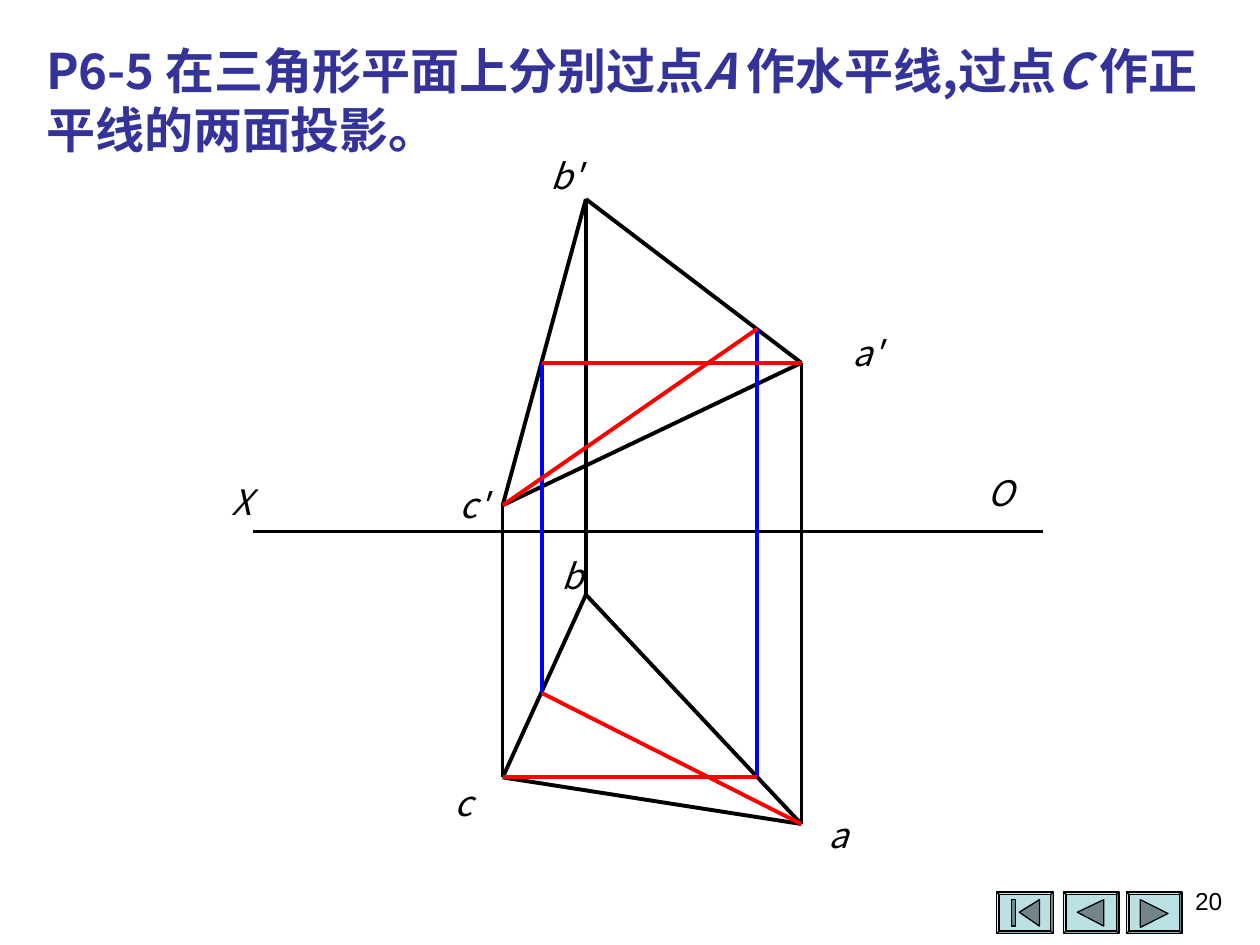
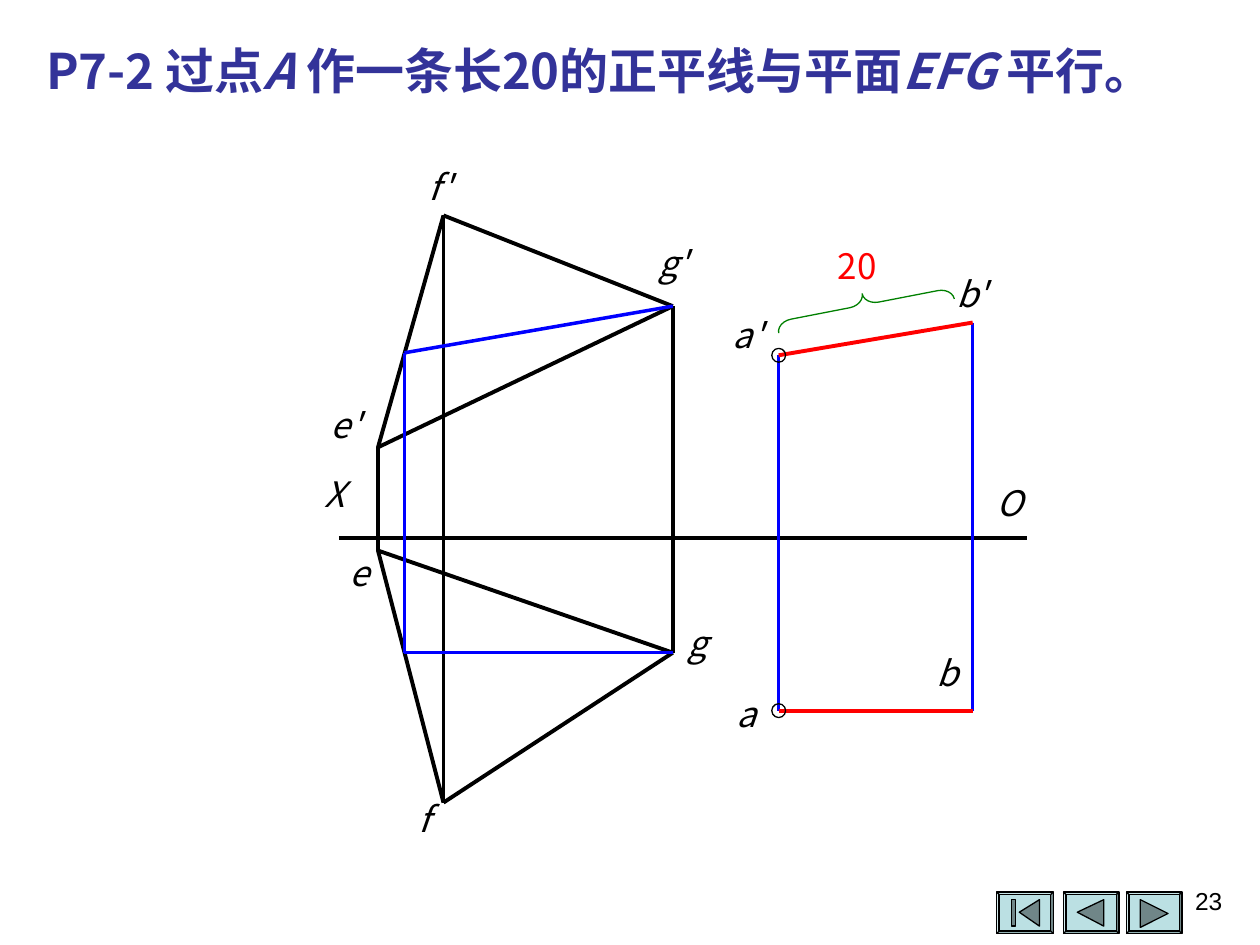
from lxml import etree
from pptx import Presentation
from pptx import util as u
from pptx.dml.color import RGBColor
from pptx.enum import shapes, text
from pptx.oxml.ns import qn

COLORS = {"ink": "000000", "title": "333399", "answer": "FF0000",
          "helper": "0000FF", "brace": "008000", "button": "BBE0E3",
          "symbol": "708688"}
CJK = "Noto Sans CJK SC"
THICK, HAIRLINE = u.Pt(2.25), u.Pt(0)


def color(name):
    return RGBColor.from_string(COLORS[name])


def style_shape(shape, fill, line, width):
    shape.shadow.inherit = False
    if fill:
        shape.fill.solid()
        shape.fill.fore_color.rgb = color(fill)
    else:
        shape.fill.background()
    shape.line.color.rgb = color(line)
    shape.line.width = width


def add_text(page, box, spans, size, ink="ink", font=CJK, bold=False,
             margins=(0, 0), align=text.PP_ALIGN.LEFT, wrap=True):
    """Write one paragraph made of (words, italic) spans."""
    frame = page.shapes.add_textbox(*map(u.Inches, box)).text_frame
    frame.word_wrap = wrap
    frame.margin_left = frame.margin_right = u.Inches(margins[0])
    frame.margin_top = frame.margin_bottom = u.Inches(margins[1])
    para = frame.paragraphs[0]
    para.alignment = align
    para.font.size = u.Pt(size)
    para.font.bold = bold
    para.font.color.rgb = color(ink)
    para.font.name = font
    for words, italic in spans:
        span = para.add_run()
        span.text = words
        span.font.italic = italic
        east_asian = etree.SubElement(span.font._element, qn("a:ea"))
        east_asian.set("typeface", font)


def add_line(page, start, end, ink="ink", width=HAIRLINE):
    ends = [u.Inches(value) for value in (*start, *end)]
    line = page.shapes.add_connector(shapes.MSO_CONNECTOR.STRAIGHT, *ends)
    line.line.color.rgb = color(ink)
    line.line.width = width
    etree.SubElement(line._element.spPr, qn("a:effectLst"))


# Navigation buttons: symbol outlines relative to the button corner
BUTTON_SYMBOLS = [
    (7.91, 0.45, [[(0.18, 0.16), (0.34, 0.06), (0.34, 0.27)],
                  [(0.12, 0.06), (0.15, 0.06), (0.15, 0.27), (0.12, 0.27)]]),
    (8.44, 0.44, [[(0.11, 0.16), (0.32, 0.06), (0.32, 0.27)]]),
    (8.94, 0.44, [[(0.11, 0.06), (0.33, 0.17), (0.11, 0.28)]]),
]


def add_button(page, box, outlines):
    left, top, width, height = box
    bevel = page.shapes.add_shape(shapes.MSO_SHAPE.BEVEL, *map(u.Inches, box))
    bevel.adjustments[0] = 0.06
    style_shape(bevel, "button", "ink", u.Pt(0.75))
    for outline in outlines:
        corners = [(u.Inches(left + x), u.Inches(top + y)) for x, y in outline]
        builder = page.shapes.build_freeform(*corners[0])
        builder.add_line_segments(corners[1:], close=True)
        style_shape(builder.convert_to_shape(), "symbol", "ink", u.Pt(0.75))


def add_frame(deck, title, number):
    """Add a page with its buttons, title and page number."""
    page = deck.slides.add_slide(deck.slide_layouts[6])
    for left, width, outlines in BUTTON_SYMBOLS:
        add_button(page, (left, 7.08, width, 0.33), outlines)
    add_text(page, (0.27, 0.27, 9.53, 1.04), title, 28, "title", bold=True,
             margins=(0.1, 0.05))
    add_text(page, (7.47, 6.98, 2.33, 0.52), [(number, False)], 14,
             font="Arial", margins=(0.1, 0.05), align=text.PP_ALIGN.RIGHT)
    return page


def add_projection(page, origin, length, columns, lines, labels, axis_labels):
    """Draw two views above and below an axis that starts at origin.

    columns: point -> (x, y in upper view, y in lower view)
    lines: (pairs of points, colour, width)
    labels: point -> offset of the label from its point
    """
    left, top = origin
    places = {}
    for name, (x, upper, lower) in columns.items():
        places[name + "'"] = (left + x, top + upper)
        places[name] = (left + x, top + lower)

    add_line(page, origin, (left + length, top))
    for pairs, ink, width in lines:
        for pair in pairs.split(", "):
            start, end = pair.split("-")
            add_line(page, places[start], places[end], ink, width)

    places.update(X=origin, O=(left + length, top))
    for name, (right, down) in {**labels, **axis_labels}.items():
        x, y = places[name]
        is_end = name == "O"
        width = 0.31 if is_end else 0.17 * len(name)
        align = text.PP_ALIGN.LEFT if is_end else text.PP_ALIGN.CENTER
        add_text(page, (x + right, y + down, width, 0.33), [(name, True)], 20,
                 align=align, wrap=is_end)
    return places


def add_length_mark(page, box, words):
    """Put a slanted brace and its length over a segment."""
    left, top = box
    brace = page.shapes.add_shape(
        shapes.MSO_SHAPE.LEFT_BRACE, u.Inches(left + 0.12),
        u.Inches(top - 0.23), u.Inches(0.18), u.Inches(1.42))
    brace.rotation = 79
    brace.adjustments[0] = 0.65
    style_shape(brace, None, "brace", u.Pt(0.75))
    add_text(page, (left, top, 0.55, 0.33), [(words, False)], 20, "answer")


def add_ring(page, center, size=0.11):
    x, y = center
    ring = page.shapes.add_shape(
        shapes.MSO_SHAPE.OVAL, u.Inches(x - size / 2), u.Inches(y - size / 2),
        u.Inches(size), u.Inches(size))
    style_shape(ring, None, "ink", HAIRLINE)


def add_lines_in_triangle(deck):
    title = [("P6-5 在三角形平面上分别过点", False), ("A ", True),
             ("作水平线,过点", False), ("C ", True),
             ("作正平线的两面投影。", False)]
    page = add_frame(deck, title, "20")
    columns = {"a": (4.35, -1.34, 2.32), "b": (2.64, -2.64, 0.5),
               "c": (1.98, -0.21, 1.95), "d": (2.29, -1.34, 1.28),
               "e": (4, -1.61, 1.95)}
    lines = [("c-a, c'-a', c'-b', b'-a', c-b, b-a", "ink", THICK),
             ("b'-b, a'-a, c'-c", "ink", HAIRLINE),
             ("d'-d, e'-e", "helper", HAIRLINE),
             ("a'-d', d-a, c-e, c'-e'", "answer", THICK)]
    labels = {"a'": (0.35, -0.25), "b'": (-0.33, -0.35), "c'": (-0.4, -0.17),
              "a": (0.21, -0.08), "b": (-0.19, -0.32), "c": (-0.4, 0.03)}
    add_projection(page, (2.01, 4.22), 6.27, columns, lines, labels,
                   {"X": (-0.18, -0.41), "O": (-0.44, -0.48)})


def add_parallel_to_plane(deck):
    title = [("P7-2 过点", False), ("A ", True),
             ("作一条长20的正平线与平面", False), ("EFG ", True),
             ("平行。", False)]
    page = add_frame(deck, title, "23")
    columns = {"a": (3.49, -1.45, 1.37), "b": (5.03, -1.71, 1.37),
               "e": (0.31, -0.72, 0.1), "f": (0.83, -2.56, 2.1),
               "g": (2.65, -1.84, 0.91), "h": (0.52, -1.47, 0.91)}
    lines = [("e-g, e'-g', e'-f', f'-g', e-f, f-g", "ink", THICK),
             ("g'-g, f'-f, e'-e", "ink", HAIRLINE),
             ("g-h, h-h', h'-g', b'-b, a'-a", "helper", HAIRLINE),
             ("a-b, a'-b'", "answer", THICK)]
    labels = {"a'": (-0.42, -0.33), "b'": (-0.18, -0.4), "e'": (-0.43, -0.35),
              "f'": (-0.2, -0.4), "g'": (-0.17, -0.51), "a": (-0.34, -0.14),
              "b": (-0.29, -0.47), "e": (-0.23, 0.01), "f": (-0.24, -0.04),
              "g": (0.11, -0.25)}
    places = add_projection(page, (2.69, 4.27), 5.46, columns, lines, labels,
                            {"X": (-0.12, -0.52), "O": (-0.24, -0.45)})
    for name in ("a'", "a"):
        add_ring(page, places[name])
    add_length_mark(page, (6.65, 1.94), "20")


def main():
    deck = Presentation()
    deck.slide_width, deck.slide_height = u.Inches(10), u.Inches(7.5)
    add_lines_in_triangle(deck)
    add_parallel_to_plane(deck)
    deck.save("out.pptx")


if __name__ == "__main__":
    main()
